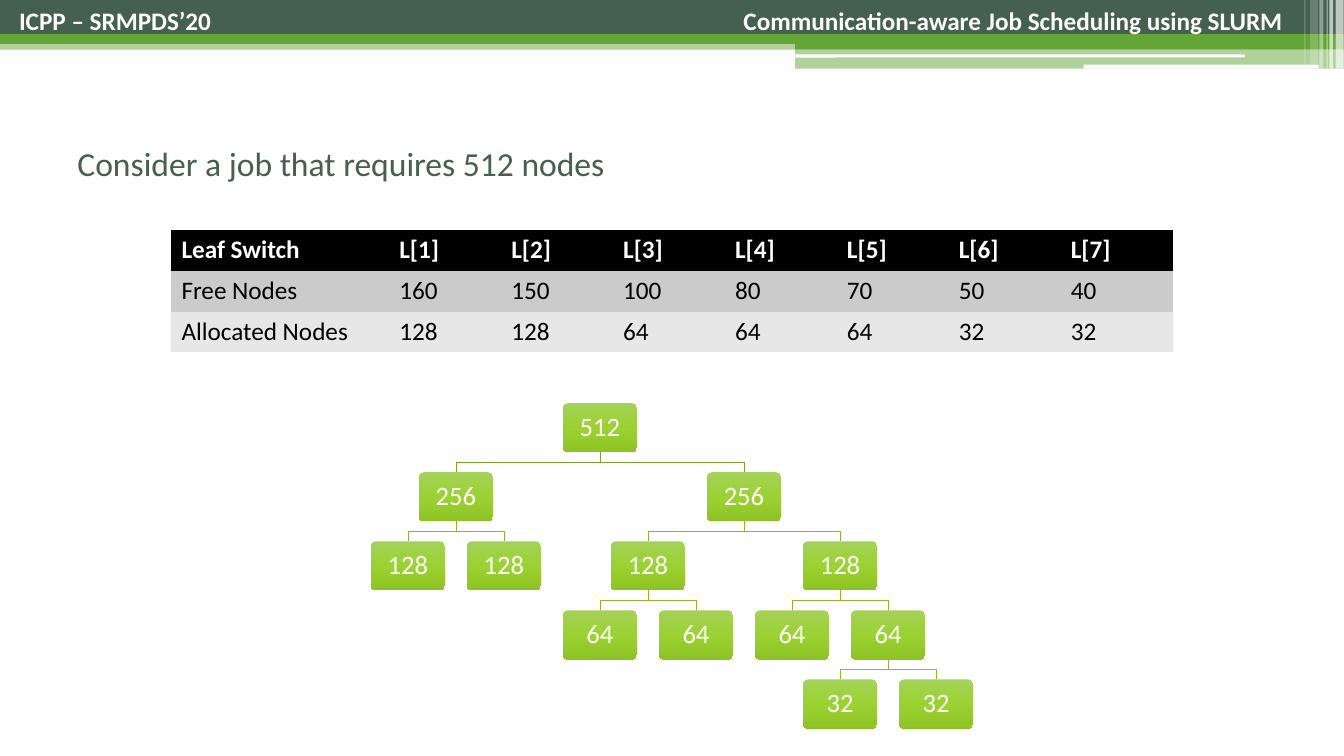
import pptx
import pptx.util
import pptx.dml.color
import pptx.enum.shapes
import pptx.enum.text
import pptx.oxml
import pptx.oxml.ns

Cm, Pt = pptx.util.Cm, pptx.util.Pt
RGB = pptx.dml.color.RGBColor
SHAPE = pptx.enum.shapes.MSO_SHAPE
MIDDLE = pptx.enum.text.MSO_ANCHOR.MIDDLE
CENTER = pptx.enum.text.PP_ALIGN.CENTER
qn = pptx.oxml.ns.qn
NS = pptx.oxml.ns.nsdecls("a")

WHITE = RGB(0xFF, 0xFF, 0xFF)
BLACK = RGB(0, 0, 0)
DARK = RGB(0x45, 0x5F, 0x51)
GREEN = RGB(0x63, 0xA5, 0x37)
ROOT = RGB(0x7B, 0xA3, 0x2D)
BRANCH = RGB(0x8B, 0xB8, 0x33)
SHADES = [(0, RGB(0xA4, 0xD2, 0x5A)), (50, RGB(0x9B, 0xD2, 0x31)),
          (100, RGB(0x8D, 0xC3, 0x23))]

# Content
EVENT = "ICPP – SRMPDS’20"
TALK = "Communication-aware Job Scheduling using SLURM"
TITLE = "Consider a job that requires 512 nodes"
ROWS = [
    ["Leaf Switch"] + [f"L[{n}]" for n in range(1, 8)],
    ["Free Nodes", 160, 150, 100, 80, 70, 50, 40],
    ["Allocated Nodes", 128, 128, 64, 64, 64, 32, 32],
]
# Row fill, text colour, bold
LOOKS = [(BLACK, WHITE, True), (RGB(0xCB, 0xCB, 0xCB), BLACK, False),
         (RGB(0xE7, 0xE7, 0xE7), BLACK, False)]
# Node count, reach to each child in columns, children
TREE = (512, 1.5, [
    (256, 0.5, [(128, 0, []), (128, 0, [])]),
    (256, 1, [
        (128, 0.5, [(64, 0, []), (64, 0, [])]),
        (128, 0.5, [(64, 0, []),
                    (64, 0.5, [(32, 0, []), (32, 0, [])])]),
    ]),
])

# Header bars: left, top, width, height, colour, opacity
WIDE = 33.87
BARS = [
    (0, 1.02, WIDE, 0.23, GREEN, 50),
    (0, 0, WIDE, 0.86, DARK, 100),
    (0, 0.86, WIDE, 0.25, GREEN, 100),
    (20.04, 0.99, 13.83, 0.25, GREEN, 100),
    (20.04, 1.23, 13.83, 0.5, GREEN, 50),
]
SLITS = [(20.02, 1.37, 11.35, 0.08, WHITE, 100),
         (27.31, 1.63, 5.92, 0.1, WHITE, 100)]
# Left, width, height, opacity
STRIPES = [(33.66, 0.2, 1.73, 65), (33.5, 0.1, 1.73, 65),
           (33.43, 0.03, 1.73, 60), (33.25, 0.1, 1.73, 40),
           (33.02, 0.2, 1.63, 20), (32.87, 0.03, 1.63, 30)]

# Tree geometry in cm
MID, TOP = 15.12, 10.16
STEP, DROP = 2.42, 1.74
BOX_W, BOX_H = 1.86, 1.24

deck = pptx.Presentation()
deck.slide_width, deck.slide_height = Cm(WIDE), Cm(19.05)
slide = deck.slides.add_slide(deck.slide_layouts[6])
shapes = slide.shapes


def assign(item, form):
    for key, value in form.items():
        setattr(item, key, value)


def write(para, text, size, color, bold=False):
    para.text = str(text)
    assign(para.font, {"name": "Calibri", "size": Pt(size), "bold": bold})
    para.font.color.rgb = color


def add_bar(kind, left, top, width, height, color, alpha):
    bar = shapes.add_shape(kind, Cm(left), Cm(top), Cm(width), Cm(height))
    bar.shadow.inherit = False
    bar.fill.solid()
    bar.fill.fore_color.rgb = color
    bar.line.fill.background()
    if alpha < 100:
        tint = bar.element.spPr.find(qn("a:solidFill"))[0]
        tint.append(pptx.oxml.parse_xml(
            f'<a:alpha {NS} val="{alpha * 1000}"/>'))


def add_label(left, top, width, height):
    box = shapes.add_textbox(Cm(left), Cm(top), Cm(width), Cm(height))
    box.text_frame.word_wrap = True
    return box.text_frame


def add_edge(start, end, color):
    (x1, y1), (x2, y2) = start, end
    half = (y1 + y2) / 2
    pen = shapes.build_freeform(Cm(x1), Cm(y1))
    pen.add_line_segments(
        [(Cm(x), Cm(y)) for x, y in ((x1, half), (x2, half), (x2, y2))],
        close=False)
    edge = pen.convert_to_shape()
    edge.shadow.inherit = False
    edge.fill.background()
    edge.line.color.rgb = color
    edge.line.width = Pt(0.5)


def add_node(node, mid=MID, level=0):
    count, reach, kids = node
    top = TOP + level * DROP
    box = shapes.add_shape(SHAPE.ROUNDED_RECTANGLE, Cm(mid - BOX_W / 2),
                           Cm(top), Cm(BOX_W), Cm(BOX_H))
    box.adjustments[0] = 0.1
    box.shadow.inherit = False
    box.line.fill.background()
    stops = "".join(f'<a:gs pos="{pos * 1000}"><a:srgbClr val="{color}"/></a:gs>'
                    for pos, color in SHADES)
    box.element.spPr.find(qn("a:prstGeom")).addnext(pptx.oxml.parse_xml(
        f'<a:gradFill {NS} rotWithShape="1"><a:gsLst>{stops}</a:gsLst>'
        '<a:lin ang="5400000" scaled="0"/></a:gradFill>'))
    frame = box.text_frame
    sides = ("left", "top", "right", "bottom")
    assign(frame, {f"margin_{side}": Cm(0.2) for side in sides})
    frame.vertical_anchor = MIDDLE
    para = frame.paragraphs[0]
    assign(para, {"alignment": CENTER, "line_spacing": 0.9})
    write(para, count, 19, WHITE)
    for sign, kid in zip((-1, 1), kids):
        spot = mid + sign * reach * STEP
        add_edge((mid, top + BOX_H), (spot, top + DROP),
                 BRANCH if level else ROOT)
        add_node(kid, spot, level + 1)


# Header
for bar in BARS:
    add_bar(SHAPE.RECTANGLE, *bar)
for slit in SLITS:
    add_bar(SHAPE.ROUNDED_RECTANGLE, *slit)
for left, width, height, alpha in STRIPES:
    add_bar(SHAPE.RECTANGLE, left, 0, width, height, WHITE, alpha)

# Title
frame = add_label(1.7, 2.62, 30.48, 2.97)
frame.vertical_anchor = MIDDLE
write(frame.paragraphs[0], TITLE, 24, DARK)

# Tree
add_node(TREE)

# Table
grid = shapes.add_table(len(ROWS), len(ROWS[0]), Cm(4.32), Cm(5.79),
                        Cm(25.23), Cm(3.09))
for style in grid.element.iter(qn("a:tableStyleId")):
    style.text = "{2D5ABB26-0587-4C30-8999-92F81FD0307C}"
table = grid.table
for c, col in enumerate(table.columns):
    col.width = Cm(2.82 if c else 5.49)
for r, (values, (fill, ink, bold)) in enumerate(zip(ROWS, LOOKS)):
    table.rows[r].height = Cm(1.03)
    for c, value in enumerate(values):
        cell = table.cell(r, c)
        cell.fill.solid()
        cell.fill.fore_color.rgb = fill
        write(cell.text_frame.paragraphs[0], value, 18, ink, bold)

# Running head, with the talk set against a right tab
frame = add_label(0, 0, 32.87, 1.02)
frame.margin_left = Cm(0.48)
para = frame.paragraphs[0]
para._p.get_or_add_pPr().append(pptx.oxml.parse_xml(
    f'<a:tabLst {NS}><a:tab pos="{Cm(31.85)}" algn="r"/></a:tabLst>'))
write(para, f"{EVENT}\t{TALK}", 18, WHITE, True)

deck.save("out.pptx")
